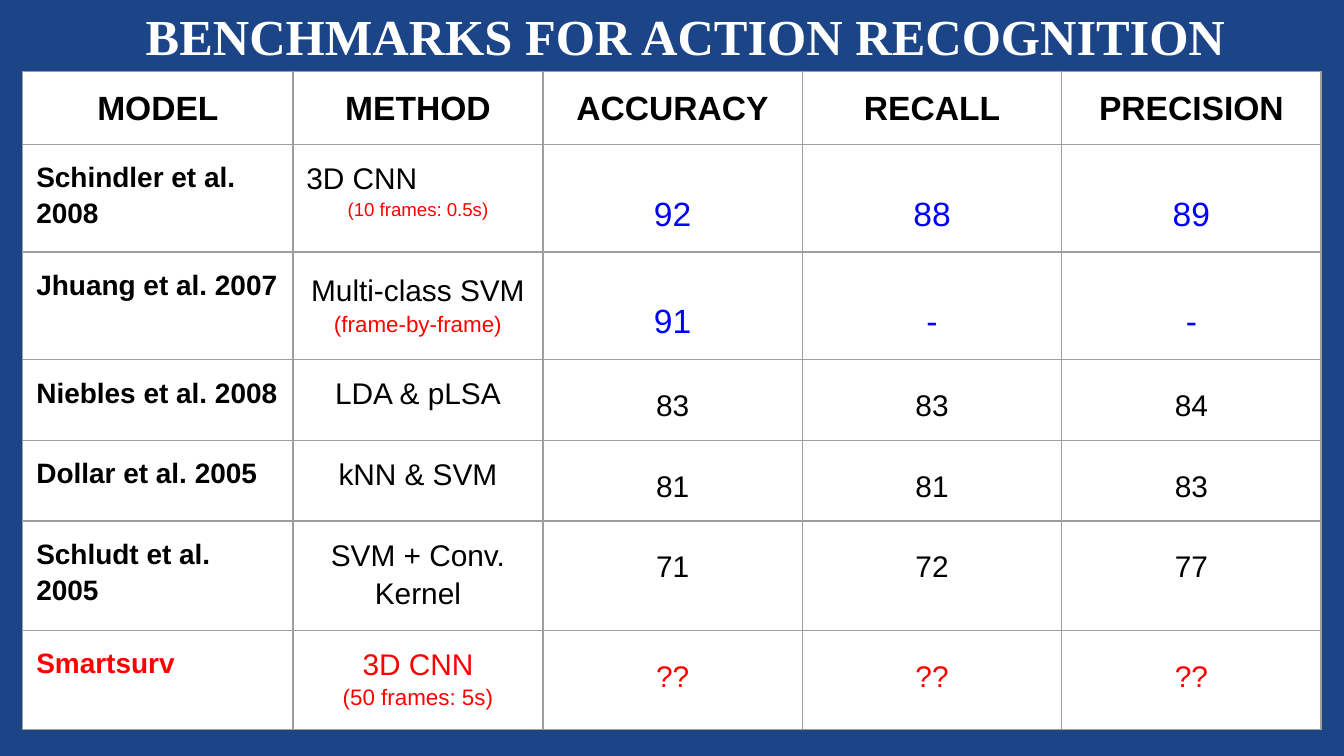
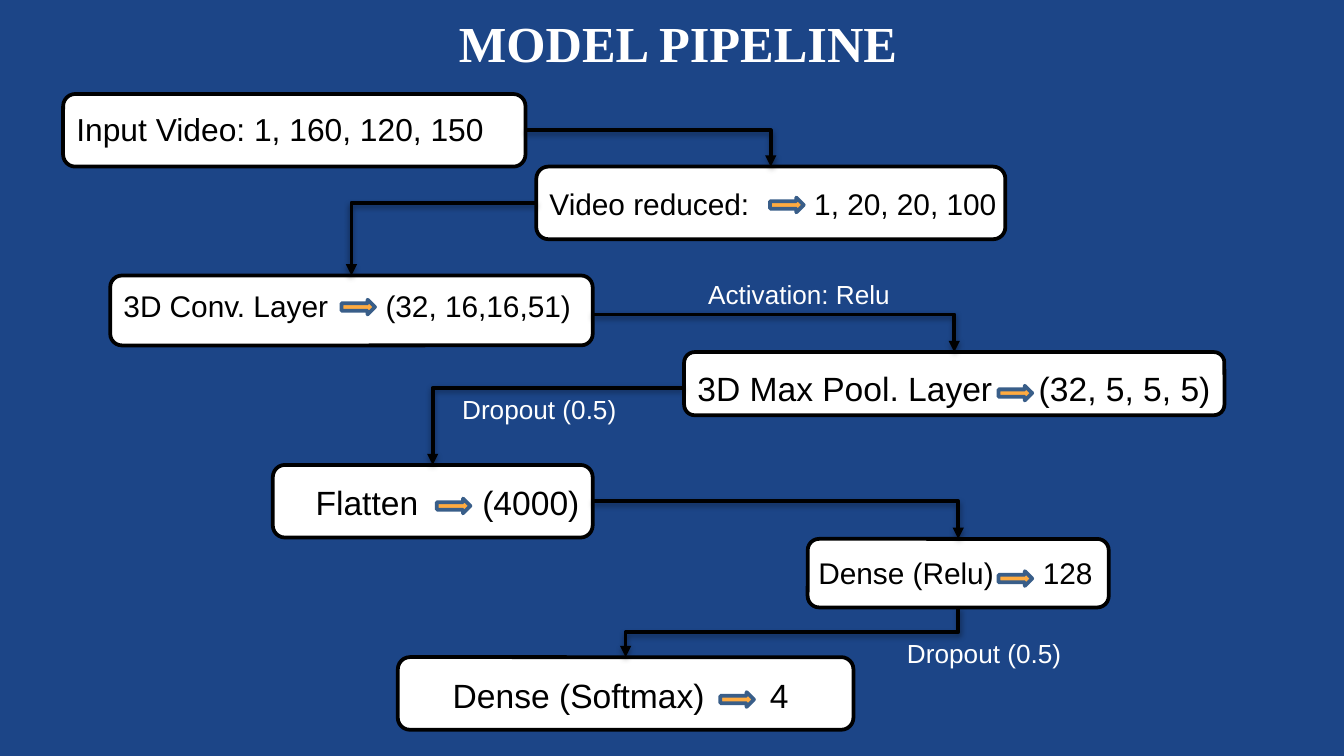
from lxml import etree
from pptx import Presentation
from pptx.dml.color import RGBColor
from pptx.enum.shapes import MSO_CONNECTOR, MSO_SHAPE
from pptx.enum.text import MSO_ANCHOR, PP_ALIGN
from pptx.oxml.ns import qn
from pptx.util import Inches, Pt

NAVY = RGBColor(0x1C, 0x45, 0x87)
WHITE = RGBColor(0xFF, 0xFF, 0xFF)
BLACK = RGBColor(0x00, 0x00, 0x00)
RED = RGBColor(0xFF, 0x00, 0x00)
BLUE = RGBColor(0x00, 0x00, 0xFF)
GREY = RGBColor(0x9E, 0x9E, 0x9E)
AMBER = RGBColor(0xFF, 0xAB, 0x40)
STEEL = RGBColor(0x39, 0x5E, 0x89)

LEFT, CENTER = PP_ALIGN.LEFT, PP_ALIGN.CENTER
MIDDLE = MSO_ANCHOR.MIDDLE
ROUND, ARROW = MSO_SHAPE.ROUNDED_RECTANGLE, MSO_SHAPE.RIGHT_ARROW
ELBOW = MSO_CONNECTOR.ELBOW

SANS, SERIF = "Arial", "Times New Roman"
COLS, ROWS = 100, 56.25
UNIT = 0.1

HEADS = ["MODEL", "METHOD", "ACCURACY", "RECALL", "PRECISION"]
WIDTHS = [20.1, 18.6, 19.3, 19.3, 19.3]
ROW = 4.2

STUDIES = [
    ("Schindler et al. 2008",
     [(LEFT, [("3D CNN", 16, BLACK)]), (CENTER, [("(10 frames: 0.5s)", 10, RED)])],
     ["92", "88", "89"], 18, 2.0, BLACK, BLUE),
    ("Jhuang et al. 2007",
     [(CENTER, [("Multi-class SVM", 16, BLACK), (" ", 18, RED),
                ("(frame-by-frame)", 12, RED)])],
     ["91", "-", "-"], 18, 2.0, BLACK, BLUE),
    ("Niebles et al. 2008", [(CENTER, [("LDA & pLSA", 16, BLACK)])],
     ["83", "83", "84"], 16, 1.5, BLACK, BLACK),
    ("Dollar et al. 2005", [(CENTER, [("kNN & SVM", 16, BLACK)])],
     ["81", "81", "83"], 16, 1.5, BLACK, BLACK),
    ("Schludt et al. 2005", [(CENTER, [("SVM + Conv. Kernel", 16, BLACK)])],
     ["71", "72", "77"], 16, 1.5, BLACK, BLACK),
    ("Smartsurv",
     [(CENTER, [("3D CNN", 16, RED)]), (CENTER, [("(50 frames: 5s)", 12, RED)])],
     ["??", "??", "??"], 16, 1.5, RED, RED),
]

STAGES = [
    ((4.7, 7, 34.4, 5.4), (4.7, 7.7, 34.4, 3.9),
     "Input Video: 1, 160, 120, 150", 17, None, None),
    ((39.9, 12.4, 34.9, 5.4), (39.9, 13.3, 35.7, 3.7),
     "Video reduced:\t1, 20, 20, 100", 16, 19.7, (57.3, 14.7)),
    ((8.2, 20.5, 35.9, 5.2), (8.2, 20.9, 38.9, 3.7),
     "3D Conv. Layer\t(32, 16,16,51)", 16, 19.5, (25.4, 22.3)),
    ((50.9, 26.2, 40.2, 4.7), (50.9, 26.9, 43.9, 4),
     "3D Max Pool. Layer\t(32, 5, 5, 5)", 18, 25.4, (74.3, 28.7)),
    ((20.3, 34.6, 23.8, 5.4), (22.5, 35.4, 41.1, 4),
     "Flatten\t(4000)", 18, 12.4, (32.5, 37.1)),
    ((60.1, 40.1, 22.4, 5.1), (59.9, 40.8, 22.5, 3.7),
     "Dense (Relu)\t128", 16, 16.7, (74.3, 42.5)),
    ((29.6, 48.9, 33.9, 5.4), (32.7, 49.7, 33.8, 4),
     "Dense (Softmax)\t4", 18, 23.6, (53.6, 51.5)),
]
DROPS = [0, 0, 0.3, 0.3, 0]

LABELS = [
    ((51.7, 20.2, 20.5, 3.4), "Activation: Relu"),
    ((33.4, 28.8, 13.5, 3.4), "Dropout (0.5)"),
    ((66.5, 46.9, 13.5, 3.4), "Dropout (0.5)"),
]


def grid(*vals):
    return [Inches(v * UNIT) for v in vals]


def font(item, size, color, bold=False, face=SANS):
    item.font.name = face
    item.font.size = Pt(size)
    item.font.bold = bold
    item.font.color.rgb = color


def page(deck, title, area):
    slide = deck.slides.add_slide(deck.slide_layouts[6])
    slide.background.fill.solid()
    slide.background.fill.fore_color.rgb = NAVY
    para = words(slide, area, title, 27, WHITE, True, SERIF, pad=(0.7, 0.4))
    para.alignment = CENTER
    para.line_spacing = 0.9
    return slide


def words(slide, area, text, size, color, bold=False, face=SANS, pad=(1, 0.5), stop=None):
    frame = slide.shapes.add_textbox(*grid(*area)).text_frame
    frame.word_wrap = True
    frame.margin_left = frame.margin_right = grid(pad[0])[0]
    frame.margin_top = frame.margin_bottom = grid(pad[1])[0]
    para = frame.paragraphs[0]
    para.text = text
    if stop:
        props = para._p.get_or_add_pPr()
        tabs = etree.SubElement(props, qn("a:tabLst"))
        etree.SubElement(tabs, qn("a:tab"), pos=str(grid(stop)[0]), algn="l")
    font(para, size, color, bold, face)
    return para


def shape(slide, kind, area, fill, line):
    item = slide.shapes.add_shape(kind, *grid(*area))
    item.shadow.inherit = False
    item.fill.solid()
    item.fill.fore_color.rgb = fill
    item.line.color.rgb = line
    item.line.width = Pt(2)
    return item


def link(slide, start, end, kind="bentConnector2", turn=0):
    item = slide.shapes.add_connector(ELBOW, *grid(*start, *end))
    item.line.color.rgb = BLACK
    item.line.width = Pt(2)
    props = item.element.spPr
    props.find(qn("a:prstGeom")).set("prst", kind)
    if turn:
        props.find(qn("a:xfrm")).set("rot", str(turn * 60000))
    etree.SubElement(props.find(qn("a:ln")), qn("a:tailEnd"), type="triangle")
    effect = etree.SubElement(props, qn("a:effectLst"))
    shade = etree.SubElement(effect, qn("a:outerShdw"), blurRad="40000",
                             dist="20000", dir="5400000", rotWithShape="0")
    tone = etree.SubElement(shade, qn("a:srgbClr"), val=str(BLACK))
    etree.SubElement(tone, qn("a:alpha"), val="38000")


def step(slide, src, dst, drop):
    x, y, w, h = src
    mid = dst[0] + dst[2] / 2
    edge = x + w if mid > x + w else x
    link(slide, (edge, y + h / 2 + drop), (mid, dst[1]))


def fall(slide, src, dst):
    x1, y1 = src[0] + src[2] / 2, src[1] + src[3]
    x2, y2 = dst[0] + dst[2] / 2, dst[1]
    cx, cy = (x1 + x2) / 2, (y1 + y2) / 2
    dx, dy = (y2 - y1) / 2, (x1 - x2) / 2
    link(slide, (cx - dx, cy - dy), (cx + dx, cy + dy), "bentConnector3", 90)


def cell(box, paras, space=1.15, bold=False):
    props = box._tc.get_or_add_tcPr()
    for side in ("a:lnL", "a:lnR", "a:lnT", "a:lnB"):
        line = etree.SubElement(props, qn(side), w=str(Pt(0.75)))
        fill = etree.SubElement(line, qn("a:solidFill"))
        etree.SubElement(fill, qn("a:srgbClr"), val=str(GREY))
    box.fill.solid()
    box.fill.fore_color.rgb = WHITE
    box.margin_left = box.margin_right = box.margin_top = box.margin_bottom = grid(1)[0]
    frame = box.text_frame
    for i, (align, runs) in enumerate(paras):
        para = frame.add_paragraph() if i else frame.paragraphs[0]
        para.alignment = align
        para.line_spacing = space
        for text, size, color in runs:
            run = para.add_run()
            run.text = text
            if len(runs) > 1:
                font(run, size, color, bold)
        if len(runs) == 1:
            font(para, size, color, bold)


def scores(slide):
    count = len(STUDIES) + 1
    table = slide.shapes.add_table(
        count, len(HEADS), *grid(1.7, 5.3, sum(WIDTHS), ROW * count)).table
    table.first_row = table.horz_banding = False
    for col, wide in zip(table.columns, WIDTHS):
        col.width = grid(wide)[0]
    for row in table.rows:
        row.height = grid(ROW)[0]
    for c, head in enumerate(HEADS):
        cell(table.cell(0, c), [(CENTER, [(head, 18, BLACK)])], bold=True)
    for r, (model, method, marks, size, space, ink, tint) in enumerate(STUDIES, 1):
        cell(table.cell(r, 0), [(LEFT, [(model, 15, ink)])], bold=True)
        cell(table.cell(r, 1), method)
        for c, mark in enumerate(marks, 2):
            cell(table.cell(r, c), [(CENTER, [(mark, size, tint)])], space)


def flow(slide):
    boxes = [stage[0] for stage in STAGES]
    for box, area, text, size, stop, tip in STAGES:
        shape(slide, ROUND, box, WHITE, BLACK)
        words(slide, area, text, size, BLACK, stop=stop)
        if tip:
            shape(slide, ARROW, (*tip, 2.5, 1.1), AMBER, STEEL)
    for src, dst, drop in zip(boxes, boxes[1:], DROPS):
        step(slide, src, dst, drop)
    fall(slide, *boxes[-2:])
    for area, text in LABELS:
        words(slide, area, text, 14, WHITE)


def main():
    deck = Presentation()
    deck.slide_width, deck.slide_height = grid(COLS, ROWS)
    scores(page(deck, "BENCHMARKS FOR ACTION RECOGNITION", (7.9, 0.5, 86.2, 4.8)))
    flow(page(deck, "MODEL PIPELINE", (16.7, 1, 67.5, 4.7)))
    deck.save("out.pptx")


if __name__ == "__main__":
    main()
